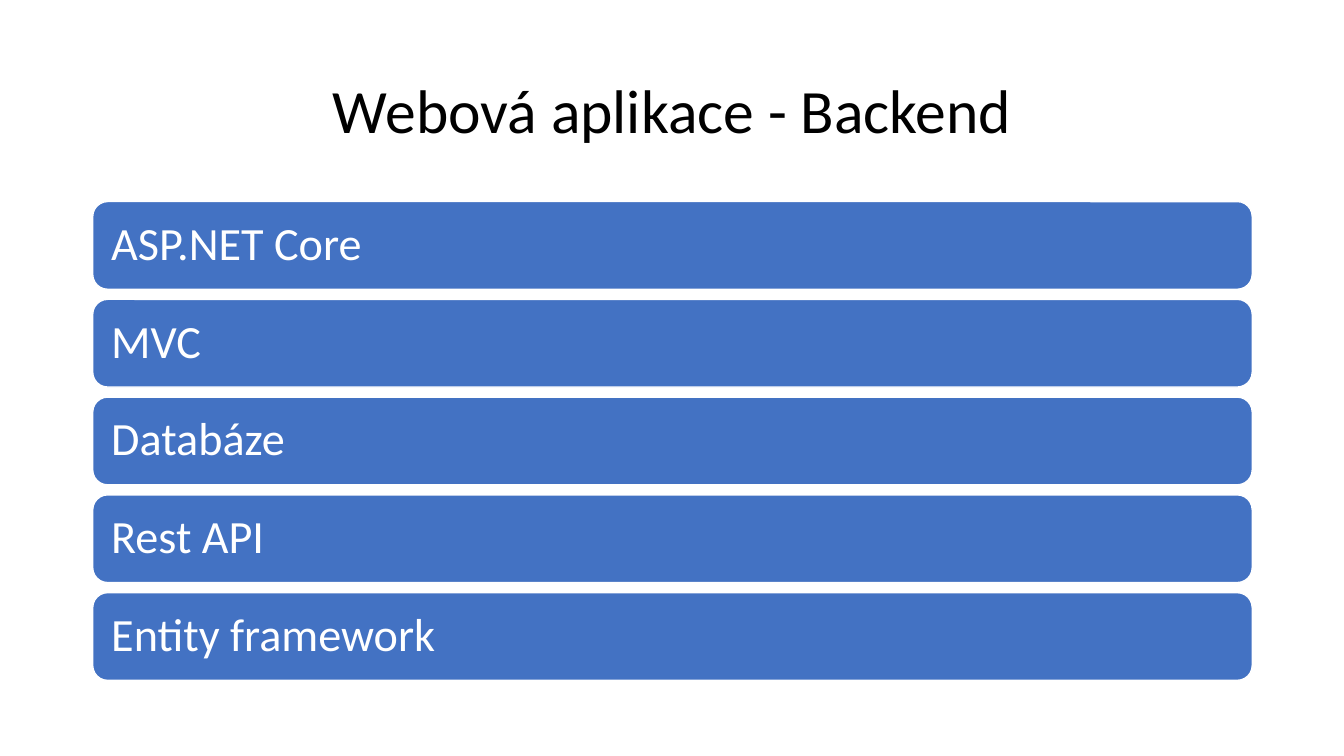
from dataclasses import dataclass

from pptx import Presentation
from pptx.dml.color import RGBColor
from pptx.enum import shapes, text
from pptx import util as u


@dataclass(frozen=True)
class Theme:
    """Colours, font and type sizes of the slide."""
    font: str = "Calibri"
    ink: RGBColor = RGBColor(0x00, 0x00, 0x00)
    paper: RGBColor = RGBColor(0xFF, 0xFF, 0xFF)
    bar: RGBColor = RGBColor(0x43, 0x72, 0xC3)
    title_size: int = 44
    bar_size: int = 33


THEME = Theme()
EMU_PER_PX = 9144
LEFT, WIDTH = 92, 1150
BAR_TOP, BAR_HEIGHT, BAR_STEP = 200, 87, 97
TECHNOLOGIES = ["ASP.NET Core", "MVC", "Databáze", "Rest API", "Entity framework"]


def px(length):
    """Turn whole pixels into EMU."""
    return u.Emu(length * EMU_PER_PX)


def write(frame, words, size, colour, align, inset_x, inset_y):
    """Fill a text frame with one vertically centred paragraph."""
    frame.text = words
    frame.word_wrap = True
    frame.auto_size = text.MSO_AUTO_SIZE.NONE
    frame.vertical_anchor = text.MSO_ANCHOR.MIDDLE
    frame.margin_left = frame.margin_right = px(inset_x)
    frame.margin_top = frame.margin_bottom = px(inset_y)
    line = frame.paragraphs[0]
    line.alignment = align
    line.line_spacing = 0.9
    line.font.name = THEME.font
    line.font.size = u.Pt(size)
    line.font.color.rgb = colour


def set_title(slide, words):
    """Place and format the slide title."""
    title = slide.shapes.title
    title.left, title.top, title.width, title.height = map(px, (LEFT, 40, WIDTH, 145))
    write(title.text_frame, words, THEME.title_size, THEME.ink, text.PP_ALIGN.CENTER, 10, 5)


def add_bar(slide, top, words):
    """Add one rounded bar with its label."""
    bar = slide.shapes.add_shape(
        shapes.MSO_SHAPE.ROUNDED_RECTANGLE, px(LEFT), px(top), px(WIDTH), px(BAR_HEIGHT))
    bar.adjustments[0] = 0.17
    bar.shadow.inherit = False
    bar.fill.solid()
    bar.fill.fore_color.rgb = THEME.bar
    bar.line.color.rgb = THEME.paper
    bar.line.width = u.Pt(1)
    write(bar.text_frame, words, THEME.bar_size, THEME.paper, text.PP_ALIGN.LEFT, 14, 14)


def main():
    """Build the slide and save it."""
    deck = Presentation()
    deck.slide_width, deck.slide_height = px(1333), px(750)
    slide = deck.slides.add_slide(deck.slide_layouts[5])
    set_title(slide, "Webová aplikace - Backend")
    for row, technology in enumerate(TECHNOLOGIES):
        add_bar(slide, BAR_TOP + row * BAR_STEP, technology)
    deck.save("out.pptx")


if __name__ == "__main__":
    main()
